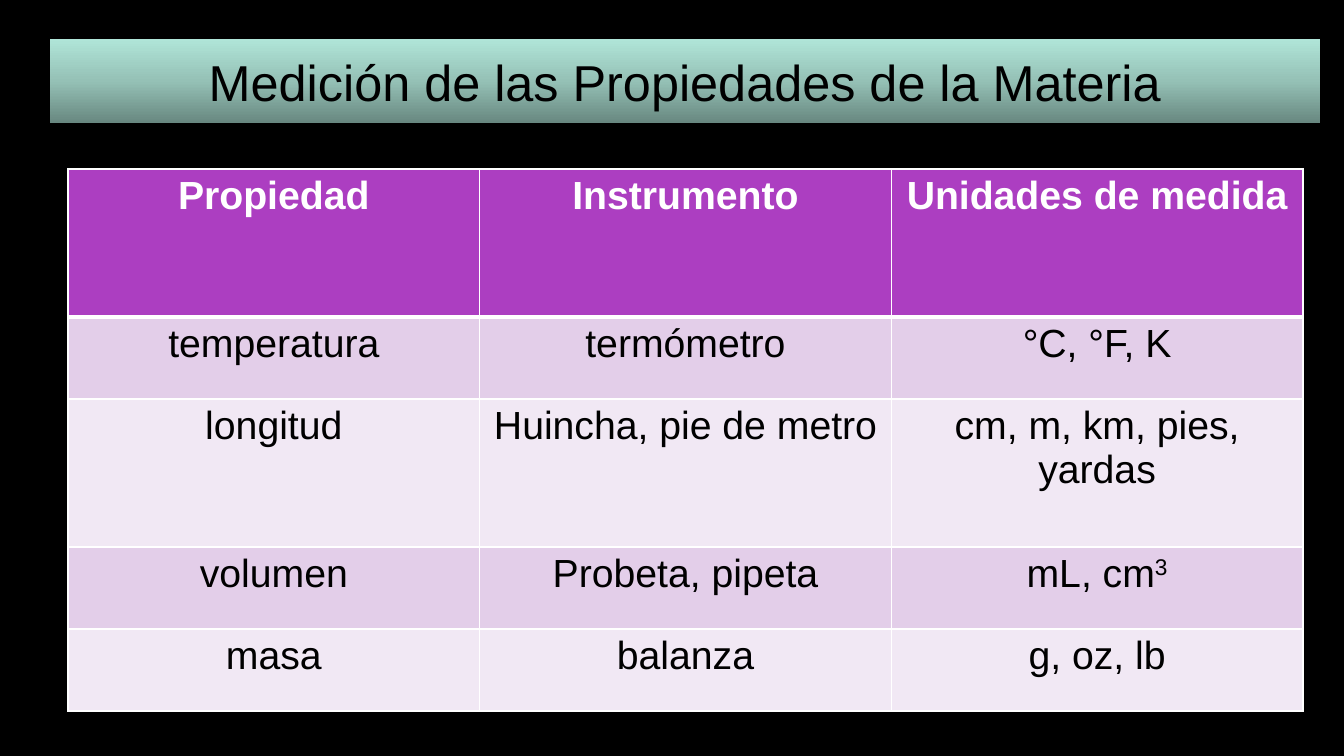
from copy import deepcopy

from lxml import etree
from pptx import Presentation
from pptx.dml.color import RGBColor
from pptx.enum import text
from pptx.oxml.ns import qn
from pptx.util import Pt

# Content: a cell is a list of (text, is superscript)
TITLE = "Medición de las Propiedades de la Materia"
HEADER = ["Propiedad", "Instrumento", "Unidades de medida"]
ROWS = [
    ["temperatura", "termómetro", "°C, °F, K"],
    ["longitud", "Huincha, pie de metro", "cm, m, km, pies, yardas"],
    ["volumen", "Probeta, pipeta", [("mL, cm", False), ("3", True)]],
    ["masa", "balanza", "g, oz, lb"],
]

# Look
FONT = "Arial"
COLORS = {
    "page": "000000", "ink": "000000", "line": "FFFFFF", "header ink": "FFFFFF",
    "header": "AC3EC1", "dark band": "E3CEE9", "light band": "F1E8F4",
}
TITLE_GRADIENT = [(0, "688880"), (0.5, "95C1B6"), (1, "B0E5D8")]

# Layout in pixels
PIXEL = 914400 / 100.8
PAGE = (1344, 756)
TITLE_BOX = (50, 45, 1270, 72)
TABLE_BOX = (68, 169, 1235, 542)
TALL, SHORT = 148, 82
ROW_HEIGHTS = [TALL, SHORT, TALL, SHORT, SHORT]


def emu(pixels):
    return round(pixels * PIXEL)


def rgb(value):
    return RGBColor.from_string(value)


def add_span(para, words, size, color, bold=False, superscript=False):
    span = para.add_run()
    span.text = words
    span.font.name, span.font.size, span.font.bold = FONT, Pt(size), bold
    span.font.color.rgb = rgb(color)
    if superscript:
        span._r.get_or_add_rPr().set("baseline", "30000")


def set_borders(cell, widths):
    properties = cell._tc.get_or_add_tcPr()
    for index, (side, width) in enumerate(widths.items()):
        line = etree.Element(qn("a:ln" + side), w=str(Pt(width)))
        fill = etree.SubElement(line, qn("a:solidFill"))
        etree.SubElement(fill, qn("a:srgbClr"), val=COLORS["line"])
        properties.insert(index, line)


# Page
deck = Presentation()
deck.slide_width, deck.slide_height = map(emu, PAGE)
page = deck.slides.add_slide(deck.slide_layouts[5])
page.background.fill.solid()
page.background.fill.fore_color.rgb = rgb(COLORS["page"])

# Title on a gradient bar
title = page.shapes.title
title.left, title.top, title.width, title.height = map(emu, TITLE_BOX)
title.fill.gradient()
title.fill.gradient_angle = 90
stop_list = title._element.spPr.find(".//" + qn("a:gsLst"))
stop_list.append(deepcopy(stop_list[0]))
for stop, (position, color) in zip(title.fill.gradient_stops, TITLE_GRADIENT):
    stop.position = position
    stop.color.rgb = rgb(color)
frame = title.text_frame
frame.word_wrap = True
frame.auto_size = text.MSO_AUTO_SIZE.SHAPE_TO_FIT_TEXT
frame.vertical_anchor = text.MSO_ANCHOR.MIDDLE
frame.paragraphs[0].alignment = text.PP_ALIGN.CENTER
add_span(frame.paragraphs[0], TITLE, 36, COLORS["ink"])

# Table of properties
cells = [HEADER] + ROWS
table = page.shapes.add_table(len(cells), len(HEADER), *map(emu, TABLE_BOX)).table
for row, height in zip(table.rows, ROW_HEIGHTS):
    row.height = emu(height)
for column in table.columns:
    column.width = emu(TABLE_BOX[2] / len(HEADER))

for r, row in enumerate(cells):
    is_header = r == 0
    band = "header" if is_header else "dark band" if r % 2 else "light band"
    ink = COLORS["header ink" if is_header else "ink"]
    for c, content in enumerate(row):
        cell = table.cell(r, c)
        cell.fill.solid()
        cell.fill.fore_color.rgb = rgb(COLORS[band])
        set_borders(cell, {"L": 1, "R": 1, "T": 3 if r == 1 else 1,
                           "B": 3 if is_header else 1})
        para = cell.text_frame.paragraphs[0]
        para.alignment = text.PP_ALIGN.CENTER
        spans = [(content, False)] if isinstance(content, str) else content
        for words, superscript in spans:
            add_span(para, words, 28, ink, is_header, superscript)

deck.save("out.pptx")
